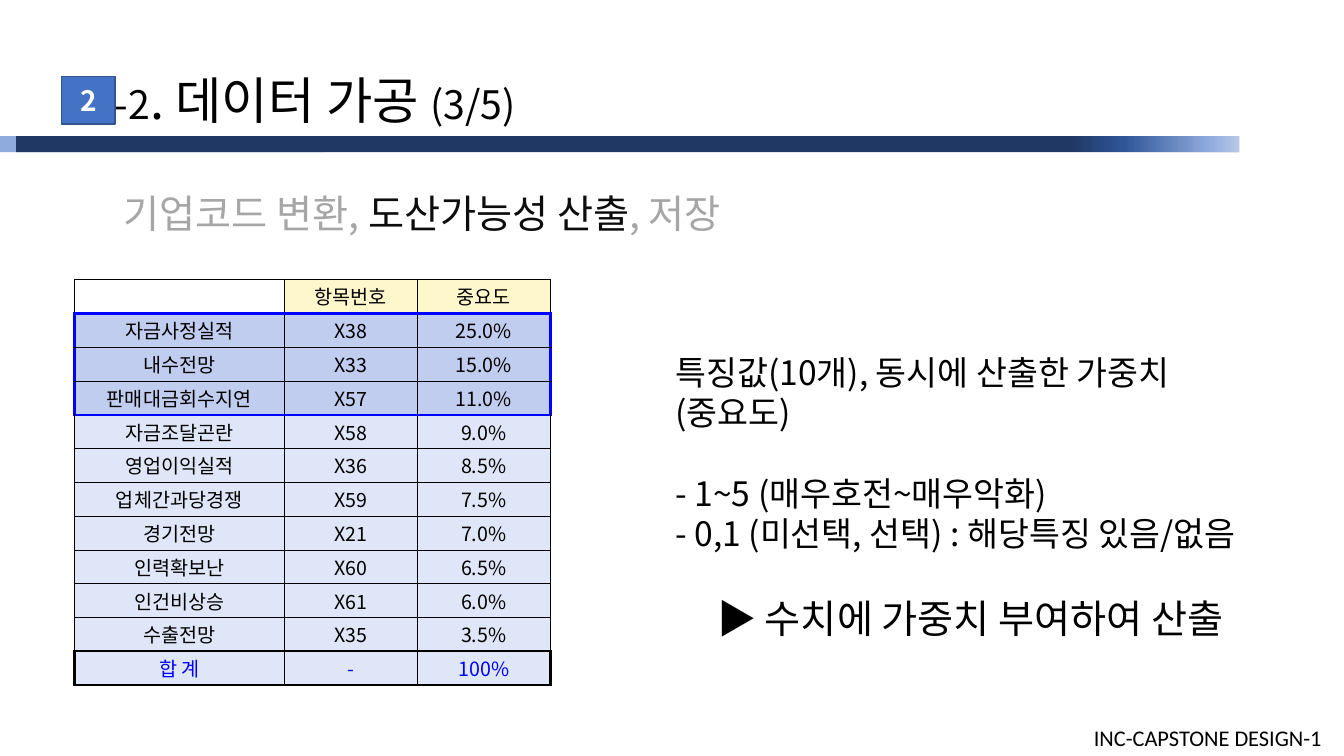
from lxml import etree
from pptx import Presentation
from pptx.dml.color import RGBColor
from pptx.enum.shapes import MSO_SHAPE as Preset
from pptx.enum.text import MSO_ANCHOR as Anchor, PP_ALIGN as Align
from pptx.oxml import parse_xml
from pptx.oxml.ns import nsdecls, qn
from pptx.util import Inches, Pt

WIDTH, HEIGHT = Inches(13.33), Inches(7.5)
KOREAN, LATIN = "Noto Sans CJK KR", "Calibri"
BLACK, BLUE, GREY = "000000", "0000FF", "A6A6A6"
THIN, THICK = 0.28, 1.98
SIDES = {"L": (0, -1), "R": (0, 1), "T": (-1, 0), "B": (1, 0)}
BAR_TOP, BAR_HEIGHT = 18, 2.13

WEIGHTS = [
    ("", "항목번호", "중요도"),
    ("자금사정실적", "X38", "25.0%"),
    ("내수전망", "X33", "15.0%"),
    ("판매대금회수지연", "X57", "11.0%"),
    ("자금조달곤란", "X58", "9.0%"),
    ("영업이익실적", "X36", "8.5%"),
    ("업체간과당경쟁", "X59", "7.5%"),
    ("경기전망", "X21", "7.0%"),
    ("인력확보난", "X60", "6.5%"),
    ("인건비상승", "X61", "6.0%"),
    ("수출전망", "X35", "3.5%"),
    ("합 계", "-", "100%"),
]
TOP_ROWS, TOTAL_ROW = range(1, 4), len(WEIGHTS) - 1


def area(left, top, width, height):
    """Turn percentages of the slide into left, top, width and height."""
    shares = zip((left, top, width, height), (WIDTH, HEIGHT) * 2)
    return [round(share * length / 100) for share, length in shares]


def colour(hex_code):
    return RGBColor.from_string(hex_code)


def add_run(paragraph, text, size, hex_code=BLACK, font=KOREAN, bold=False):
    run = paragraph.add_run()
    run.text = text
    run.font.size, run.font.bold, run.font.name = Pt(size), bold, font
    run.font.color.rgb = colour(hex_code)
    east_asian = etree.SubElement(run.font._element, qn("a:ea"))
    east_asian.set("typeface", font)


def add_box(slide, position, fill, line=None):
    box = slide.shapes.add_shape(Preset.RECTANGLE, *area(*position))
    box.shadow.inherit = False
    box.fill.solid()
    box.fill.fore_color.rgb = colour(fill)
    if line:
        box.line.color.rgb = colour(line)
        box.line.width = Pt(1)
    else:
        box.line.fill.background()
    return box


def fade(box, stops):
    """Replace the fill by a gradient that runs from right to left."""
    marks = "".join(f'<a:gs pos="{percent * 1000}"><a:srgbClr val="{code}"/></a:gs>'
                    for percent, code in stops)
    gradient = parse_xml(f'<a:gradFill {nsdecls("a")}><a:gsLst>{marks}</a:gsLst>'
                         '<a:lin ang="10800000" scaled="0"/></a:gradFill>')
    properties = box._element.spPr
    properties.replace(properties.find(qn("a:solidFill")), gradient)


def add_text(slide, position, runs, size, font=KOREAN):
    box = slide.shapes.add_textbox(*area(*position))
    box.text_frame.word_wrap = True
    for text, hex_code in runs:
        add_run(box.text_frame.paragraphs[0], text, size, hex_code, font)
    return box


def set_border(cell, side, hex_code, width):
    line = parse_xml(f'<a:ln{side} {nsdecls("a")} w="{Pt(width)}"><a:solidFill>'
                     f'<a:srgbClr val="{hex_code}"/></a:solidFill></a:ln{side}>')
    cell._tc.get_or_add_tcPr().append(line)


def border_style(row, column, side):
    """Frame the top rows in blue and the total in black; keep the rest thin."""
    down, across = SIDES[side]
    beyond = row + down
    leaves_table = not 0 <= column + across < len(WEIGHTS[0])
    if (row in TOP_ROWS) != (beyond in TOP_ROWS) or (row in TOP_ROWS and leaves_table):
        return BLUE, THICK
    if (row == TOTAL_ROW) != (beyond == TOTAL_ROW) or (row == TOTAL_ROW and leaves_table):
        return BLACK, THICK
    return BLACK, THIN


def fill_code(row):
    if row == 0:
        return "FFF7CC"
    return "C0CDEF" if row in TOP_ROWS else "DFE6F7"


def format_cell(cell, row, column):
    cell.vertical_anchor = Anchor.MIDDLE
    cell.margin_left = cell.margin_right = Inches(0.07)
    cell.margin_top = cell.margin_bottom = Inches(0.02)
    paragraph = cell.text_frame.paragraphs[0]
    paragraph.alignment = Align.CENTER
    add_run(paragraph, WEIGHTS[row][column], 14, BLUE if row == TOTAL_ROW else BLACK)
    for side in SIDES:
        set_border(cell, side, *border_style(row, column, side))
    if WEIGHTS[row][column]:
        cell.fill.solid()
        cell.fill.fore_color.rgb = colour(fill_code(row))
    else:
        cell.fill.background()


def add_weight_table(slide, position):
    left, top, width, height = area(*position)
    frame = slide.shapes.add_table(len(WEIGHTS), 3, left, top, width, height)
    table = frame.table
    table.first_row = table.horz_banding = False
    for column, share in zip(table.columns, (0.44, 0.28, 0.28)):
        column.width = round(width * share)
    header_height = Inches(0.31)
    for index, row in enumerate(table.rows):
        row.height = (height - header_height) // TOTAL_ROW if index else header_height
        for number, cell in enumerate(row.cells):
            format_cell(cell, index, number)


def place(placeholder, position):
    placeholder.left, placeholder.top, placeholder.width, placeholder.height = area(*position)
    placeholder.text_frame.word_wrap = True
    placeholder.text_frame.vertical_anchor = Anchor.TOP


def write_title(title):
    place(title, (3.15, 8.53, 56.71, 9.47))
    title.text_frame.margin_left = Inches(0.72)
    paragraph = title.text_frame.paragraphs[0]
    paragraph.alignment = Align.LEFT
    for text, size in (("-2", 28), (". 데이터 가공 ", 36), ("(3/5)", 28)):
        add_run(paragraph, text, size)


def write_explanation(body):
    place(body, (49.5, 45.87, 45.39, 34.53))
    lines = (("특징값(10개), 동시에 산출한 가중치(중요도)", 24, 0, Align.LEFT),
             ("- 1~5 (매우호전~매우악화)", 24, 29, Align.LEFT),
             ("- 0,1 (미선택, 선택) : 해당특징 있음/없음", 24, 0, Align.LEFT),
             ("▶ 수치에 가중치 부여하여 산출", 28, 29, Align.CENTER))
    frame = body.text_frame
    for index, (text, size, gap, alignment) in enumerate(lines):
        paragraph = frame.add_paragraph() if index else frame.paragraphs[0]
        paragraph.alignment, paragraph.space_before = alignment, Pt(gap)
        paragraph.line_spacing = 1.0
        properties = paragraph._p.get_or_add_pPr()
        properties.set("marL", "0")
        properties.set("indent", "0")
        etree.SubElement(properties, qn("a:buNone"))
        add_run(paragraph, text, size)


def main():
    presentation = Presentation()
    presentation.slide_width, presentation.slide_height = WIDTH, HEIGHT
    slide = presentation.slides.add_slide(presentation.slide_layouts[1])
    title, body = slide.placeholders

    add_box(slide, (0, BAR_TOP, 24.16, BAR_HEIGHT), "8FAADC")
    add_box(slide, (1.2, BAR_TOP, 91, BAR_HEIGHT), "203864")
    bar_end = add_box(slide, (79.67, BAR_TOP, 12.53, BAR_HEIGHT), "203864")
    fade(bar_end, ((0, "B4C7E7"), (18, "8FAADC"), (69, "2F5597"), (100, "203864")))

    add_text(slide, (80.65, 95.07, 25.43, 4.93),
             [("INC-CAPSTONE DESIGN-1", BLACK)], 16, LATIN)
    add_text(slide, (8.48, 24.4, 76.82, 7.6),
             [("기업코드 변환, ", GREY), ("도산가능성 산출", "0D0D0D"), (", 저장", GREY)], 28)
    add_weight_table(slide, (5.55, 36.93, 35.41, 53.33))
    write_explanation(body)
    write_title(title)

    badge = add_box(slide, (4.58, 10.13, 3.98, 6.27), "4472C4", "325491")
    badge.text_frame.vertical_anchor = Anchor.MIDDLE
    paragraph = badge.text_frame.paragraphs[0]
    paragraph.alignment = Align.CENTER
    add_run(paragraph, "2", 20, "FFFFFF", bold=True)
    presentation.save("out.pptx")


if __name__ == "__main__":
    main()
